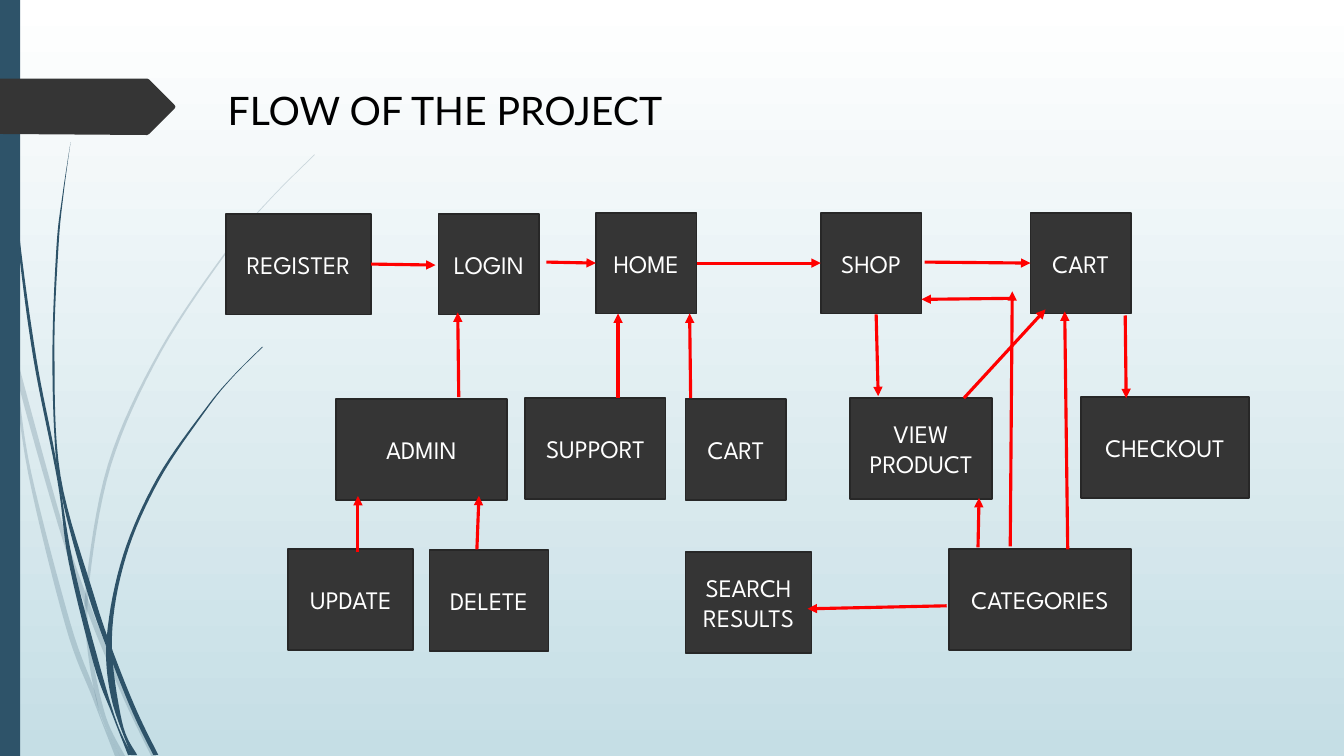
import pptx
import pptx.util
import pptx.dml.color
import pptx.enum.dml
import pptx.enum.shapes
import pptx.enum.text
import pptx.oxml.ns
import lxml.etree

RGBColor = pptx.dml.color.RGBColor
Inches = pptx.util.Inches
SHAPE = pptx.enum.shapes.MSO_SHAPE
ALIGN = pptx.enum.text.PP_ALIGN
ANCHOR = pptx.enum.text.MSO_ANCHOR

WIDTH, HEIGHT = 13.33, 7.5
WHITE = RGBColor(0xFF, 0xFF, 0xFF)
BLACK = RGBColor(0x00, 0x00, 0x00)
MIST = RGBColor(0xC5, 0xDE, 0xE5)
NAVY = RGBColor(0x2E, 0x53, 0x69)
CHARCOAL = RGBColor(0x35, 0x35, 0x35)
EDGE = RGBColor(0x27, 0x27, 0x27)
RED = RGBColor(0xFF, 0x00, 0x00)

TITLE = "FLOW OF THE PROJECT"

# Rows of boxes: row top, then (key, text, left, width, drop below the row top)
BOX_HEIGHT = 1
ROWS = [
    (2.11, [("register", "REGISTER", 2.24, 1.44, 0.01), ("login", "LOGIN", 4.35, 1, 0.01),
            ("home", "HOME", 5.91, 1, 0), ("shop", "SHOP", 8.14, 1, 0),
            ("cart", "CART", 10.22, 1, 0)]),
    (3.95, [("admin", "ADMIN", 3.33, 1.7, 0.01), ("support", "SUPPORT", 5.21, 1.39, 0),
            ("home cart", "CART", 6.8, 1, 0.01), ("view", "VIEW PRODUCT", 8.43, 1.41, 0),
            ("checkout", "CHECKOUT", 10.72, 1.67, -0.01)]),
    (5.45, [("update", "UPDATE", 2.86, 1.24, 0), ("delete", "DELETE", 4.26, 1.18, 0.01),
            ("search", "SEARCH RESULTS", 6.8, 1.25, 0.03),
            ("categories", "CATEGORIES", 9.41, 1.81, 0)]),
]

# Arrows: an end is a point, or (box key, side) where it meets the middle of a side
TOP, LEFT, BOTTOM, RIGHT = range(4)
ARROWS = [
    (("register", RIGHT), (4.32, 2.63)),
    ((5.42, 2.6), ("home", LEFT)),
    (("home", RIGHT), ("shop", LEFT)),
    ((9.17, 2.6), ("cart", LEFT)),
    ((3.55, 5.48), (3.55, 4.92)),
    ((4.73, 5.45), (4.75, 4.92)),
    ((4.55, 3.94), (4.54, 3.1)),
    ((6.13, 3.95), (6.13, 3.11)),
    ((6.85, 3.95), (6.84, 3.11)),
    ((8.69, 3.12), (8.71, 3.93)),
    ((9.56, 3.95), (10.37, 3.07)),
    ((11.16, 3.13), (11.17, 3.95)),
    ((9.7, 5.43), (9.71, 4.94)),
    ((10.59, 5.45), (10.56, 3.09)),
    ((10.02, 5.42), (10.04, 2.89)),
    ((10.02, 2.96), (9.14, 2.97)),
    ((9.39, 6.01), (8.01, 6.04)),
]

# Grass strands: opacity in percent, then the points of the two edges from tip to foot
STRANDS = [
    (20, [(0, 2.99), (0.11, 3.5), (0.28, 4.7), (0.65, 6.21), (0.92, 6.93), (1.14, 7.5)],
     [(0, 2.82), (0.09, 3.22), (0.17, 3.76), (0.31, 4.69), (0.7, 6.19), (0.93, 6.83),
      (1.01, 7.14), (1.19, 7.5)]),
    (20, [(0.14, 3.45), (0.17, 3.76), (0.58, 5.22), (0.88, 6.1), (1.23, 6.94), (1.5, 7.5)],
     [(0.14, 3.45), (0.62, 5.2), (0.92, 6.07), (1.27, 6.92), (1.55, 7.5)]),
    (20, [(3.12, 1.53), (2.68, 1.97), (2.28, 2.44), (1.58, 3.48), (1.07, 4.61),
          (0.85, 5.84), (0.87, 6.46), (0.99, 7.07), (1.19, 7.5)],
     [(3.12, 1.54), (2.68, 1.98), (2.29, 2.45), (1.6, 3.49), (1.1, 4.62),
      (0.88, 5.84), (0.91, 6.46), (1.05, 7.11), (1.24, 7.5)]),
    (100, [(0.03, 0), (0.07, 1.1), (0.17, 2.33), (0.33, 3.55), (0.57, 4.77),
           (0.68, 5.57), (0.93, 6.59), (1.11, 7.08), (1.27, 7.49)],
     [(0.04, 0), (0.08, 1.09), (0.19, 2.32), (0.36, 3.55), (0.55, 4.53), (0.72, 5.56),
      (0.98, 6.57), (1.16, 7.17), (1.31, 7.49)]),
    (100, [(0.7, 1.41), (0.62, 1.93), (0.56, 2.45), (0.52, 3.49), (0.55, 4.49),
           (0.64, 5.05), (0.88, 5.92), (1.11, 6.56), (1.32, 7.08), (1.52, 7.49)],
     [(0.7, 1.41), (0.63, 1.93), (0.58, 2.45), (0.54, 3.49), (0.6, 4.72),
      (0.93, 5.9), (1.13, 6.49), (1.36, 7.06), (1.57, 7.49)]),
    (100, [(2.6, 3.44), (2.31, 3.73), (2.04, 4.05), (1.56, 4.74), (1.22, 5.51),
           (1.06, 6.31), (1.1, 6.91), (1.3, 7.49)],
     [(2.61, 3.44), (2.31, 3.74), (2.05, 4.06), (1.58, 4.76), (1.25, 5.52),
      (1.11, 6.33), (1.21, 7.16), (1.36, 7.49)]),
]
TAG = [(0, 0.78), (1.46, 0.78), (1.48, 0.79), (1.73, 1.04), (1.74, 1.06), (1.73, 1.08),
       (1.48, 1.33), (1.46, 1.34), (0, 1.33)]


def smooth(points, steps=8):
    """Run a Catmull-Rom curve through the points."""
    padded = [points[0], *points, points[-1]]
    curve = [points[0]]
    for a, b, c, d in zip(padded, padded[1:], padded[2:], padded[3:]):
        for step in range(1, steps + 1):
            t = step / steps
            curve.append(tuple(
                (2 * q + (r - p) * t + (2 * p - 5 * q + 4 * r - s) * t ** 2
                 + (3 * q - p - 3 * r + s) * t ** 3) / 2
                for p, q, r, s in zip(a, b, c, d)))
    return curve


def paint(shape, fill, edge=None, opacity=100):
    shape.shadow.inherit = False
    shape.fill.solid()
    shape.fill.fore_color.rgb = fill
    if opacity < 100:
        color = shape.fill._xPr.find(".//" + pptx.oxml.ns.qn("a:srgbClr"))
        lxml.etree.SubElement(color, pptx.oxml.ns.qn("a:alpha"), val=str(opacity * 1000))
    if edge is None:
        shape.line.fill.background()
    else:
        shape.line.color.rgb = edge
        shape.line.width = pptx.util.Pt(1.25)


def add_outline(page, points, fill, opacity=100):
    # The builder rounds to whole units, so it is given EMU rather than inches
    corners = [(Inches(x), Inches(y)) for x, y in points]
    builder = page.shapes.build_freeform(*corners[0])
    builder.add_line_segments(corners[1:], close=True)
    paint(builder.convert_to_shape(), fill, opacity=opacity)


def write(shape, text, *, font, size, color, align=ALIGN.LEFT, anchor=ANCHOR.TOP):
    frame = shape.text_frame
    frame.word_wrap = True
    frame.vertical_anchor = anchor
    para = frame.paragraphs[0]
    para.alignment = align
    span = para.add_run()
    span.text = text
    span.font.name = font
    span.font.size = pptx.util.Pt(size)
    span.font.color.rgb = color


def add_arrow(page, start, end, boxes):
    joined = [isinstance(point[0], str) for point in (start, end)]
    ends = [(0, 0) if join else point for join, point in zip(joined, (start, end))]
    arrow = page.shapes.add_connector(
        pptx.enum.shapes.MSO_CONNECTOR.STRAIGHT, *[Inches(v) for point in ends for v in point])
    if joined[0]:
        arrow.begin_connect(boxes[start[0]], start[1])
    if joined[1]:
        arrow.end_connect(boxes[end[0]], end[1])
    arrow.line.color.rgb = RED
    arrow.line.width = pptx.util.Pt(2.25)
    lxml.etree.SubElement(arrow.line._get_or_add_ln(), pptx.oxml.ns.qn("a:tailEnd"), type="triangle")
    lxml.etree.SubElement(arrow._element.spPr, pptx.oxml.ns.qn("a:effectLst"))


def main():
    deck = pptx.Presentation()
    deck.slide_width, deck.slide_height = Inches(WIDTH), Inches(HEIGHT)
    page = deck.slides.add_slide(deck.slide_layouts[6])

    # Background, white at the top
    backdrop = page.background.fill
    backdrop.gradient()
    backdrop.gradient_angle = 270
    for stop, position, color in zip(backdrop.gradient_stops, (0, 1), (WHITE, MIST)):
        stop.position = position
        stop.color.rgb = color

    # Grass, side bar and tag
    for opacity, near_edge, far_edge in STRANDS:
        add_outline(page, smooth(near_edge) + smooth(far_edge)[::-1], NAVY, opacity)
    bar = page.shapes.add_shape(SHAPE.RECTANGLE, 0, 0, Inches(0.2), Inches(HEIGHT))
    paint(bar, NAVY)
    add_outline(page, TAG, CHARCOAL)

    # Title
    title = page.shapes.add_textbox(*map(Inches, (2.16, 0.81, 4.62, 0.57)))
    write(title, TITLE, font="Lato", size=28, color=BLACK)

    # Flow boxes
    boxes = {}
    for top, row in ROWS:
        for key, text, left, width, drop in row:
            box = page.shapes.add_shape(
                SHAPE.RECTANGLE, *map(Inches, (left, top + drop, width, BOX_HEIGHT)))
            paint(box, CHARCOAL, edge=EDGE)
            write(box, text, font="League Spartan", size=18, color=WHITE,
                  align=ALIGN.CENTER, anchor=ANCHOR.MIDDLE)
            boxes[key] = box

    # Flow arrows
    for start, end in ARROWS:
        add_arrow(page, start, end, boxes)

    deck.save("out.pptx")


if __name__ == "__main__":
    main()
